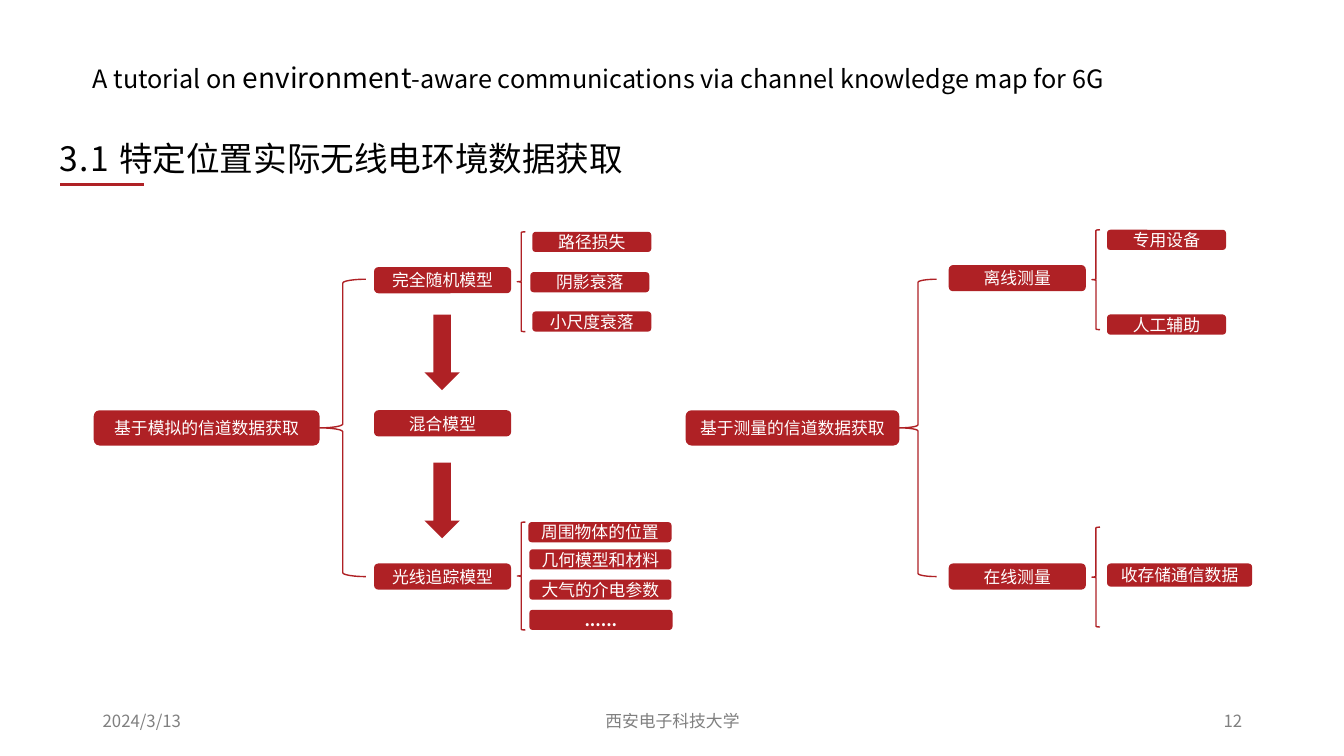
from pptx import Presentation
from pptx import util as u
from pptx.dml import color
from pptx.enum import shapes, text
from pptx.oxml import ns
from lxml import etree

FONT = "Noto Sans CJK SC"
RED, WHITE, BLACK, GREY = "AF2125", "FFFFFF", "000000", "808080"
KIND = shapes.MSO_SHAPE
ALIGN = text.PP_ALIGN
SMALL_HEIGHT = 0.2


def rgb(value):
    """Turn a hex string into a colour."""
    return color.RGBColor.from_string(value)


def add_span(para, words, size, ink, bold=None, spacing=None):
    """Add one formatted run to a paragraph."""
    span = para.add_run()
    span.text = words
    span.font.size = u.Pt(size)
    span.font.name = FONT
    span.font.bold = bold
    span.font.color.rgb = rgb(ink)
    properties = span.font._element
    etree.SubElement(properties, ns.qn("a:ea")).set("typeface", FONT)
    if spacing:
        properties.set("spc", str(spacing))


def add_text(page, place, align=ALIGN.LEFT, anchor=text.MSO_ANCHOR.MIDDLE):
    """Add a text box and return its first paragraph."""
    box = page.shapes.add_textbox(*map(u.Inches, place))
    box.text_frame.word_wrap = True
    box.text_frame.vertical_anchor = anchor
    para = box.text_frame.paragraphs[0]
    para.alignment = align
    return para


def add_solid(page, kind, *place):
    """Add a red shape without an outline."""
    shape = page.shapes.add_shape(kind, *map(u.Inches, place))
    shape.shadow.inherit = False
    shape.fill.solid()
    shape.fill.fore_color.rgb = rgb(RED)
    shape.line.fill.background()
    return shape


def add_label(page, words, left, top, width, height, bold=None):
    """Add a red rounded box with centred white text."""
    box = add_solid(page, KIND.ROUNDED_RECTANGLE, left, top, width, height)
    frame = box.text_frame
    frame.margin_top = frame.margin_bottom = 0
    frame.margin_left = frame.margin_right = u.Inches(0.05)
    frame.word_wrap = True
    frame.vertical_anchor = text.MSO_ANCHOR.MIDDLE
    para = frame.paragraphs[0]
    para.alignment = ALIGN.CENTER
    add_span(para, words, 12, WHITE, bold)


def add_brace(page, *place):
    """Add a thin red left brace."""
    brace = page.shapes.add_shape(KIND.LEFT_BRACE, *map(u.Inches, place))
    brace.shadow.inherit = False
    brace.fill.background()
    brace.line.color.rgb = rgb(RED)
    brace.line.width = u.Pt(1)


def add_underline(page, left, right, top):
    """Add the red rule below the section heading."""
    ends = map(u.Inches, (left, top, right, top))
    rule = page.shapes.add_connector(shapes.MSO_CONNECTOR.STRAIGHT, *ends)
    rule.line.color.rgb = rgb(RED)
    rule.line.width = u.Pt(1.5)
    etree.SubElement(rule._element.spPr, ns.qn("a:effectLst"))


def add_headings(page):
    """Add the talk title and the section heading."""
    title = add_text(page, (0.82, 0.35, 10.69, 0.87))
    title.line_spacing = 0.9
    add_span(title, "A tutorial on ", 18, BLACK)
    add_span(title, "environment", 20, BLACK)
    add_span(title, "-aware communications via channel knowledge map for 6G", 18, BLACK)
    section = add_text(page, (0.49, 1.2, 5.96, 0.62), ALIGN.JUSTIFY, text.MSO_ANCHOR.TOP)
    section.line_spacing = 1.3
    add_span(section, "3.1 ", 24, BLACK, spacing=100)
    add_span(section, "特定位置实际无线电环境数据获取", 24, BLACK)
    add_underline(page, 0.6, 1.43, 1.83)


def add_footer(page):
    """Add the date, the university and the page number."""
    for words, left, width, align in (
        ("2024/3/13", 0.92, 3, ALIGN.LEFT),
        ("西安电子科技大学", 4.42, 4.5, ALIGN.CENTER),
        ("12", 9.42, 3, ALIGN.RIGHT),
    ):
        add_span(add_text(page, (left, 6.95, width, 0.4), align), words, 12, GREY)


def add_tree(page, root, left, width, brace_width, branch_left, branches):
    """Add a root box, its brace and its branch boxes."""
    add_label(page, root, left, 4.07, width, 0.35)
    add_brace(page, left + width, 2.77, brace_width, 2.95)
    for words, top in branches:
        add_label(page, words, branch_left, top, 1.36, 0.26)


def add_leaves(page, brace_left, brace_top, brace_height, leaves):
    """Add a small brace with its leaf boxes."""
    add_brace(page, brace_left, brace_top, 0.08, brace_height)
    for words, left, top, width, height in leaves:
        add_label(page, words, left, top, width, height, True if words == "......" else None)


def main():
    """Build the slide."""
    deck = Presentation()
    deck.slide_width, deck.slide_height = u.Inches(13.33), u.Inches(7.5)
    page = deck.slides.add_slide(deck.slide_layouts[6])
    add_footer(page)
    add_headings(page)

    add_tree(page, "基于模拟的信道数据获取", 0.93, 2.24, 0.46, 3.71,
             (("完全随机模型", 2.65), ("混合模型", 4.07), ("光线追踪模型", 5.59)))
    add_tree(page, "基于测量的信道数据获取", 6.8, 2.12, 0.37, 9.41,
             (("离线测量", 2.63), ("在线测量", 5.59)))

    add_leaves(page, 5.13, 2.3, 0.99, (
        ("路径损失", 5.28, 2.3, 1.18, SMALL_HEIGHT),
        ("阴影衰落", 5.26, 2.7, 1.18, SMALL_HEIGHT),
        ("小尺度衰落", 5.28, 3.09, 1.18, SMALL_HEIGHT),
    ))
    add_leaves(page, 5.13, 5.18, 1.07, (
        ("周围物体的位置", 5.24, 5.18, 1.42, SMALL_HEIGHT),
        ("几何模型和材料", 5.25, 5.45, 1.41, SMALL_HEIGHT),
        ("大气的介电参数", 5.25, 5.75, 1.41, SMALL_HEIGHT),
        ("......", 5.25, 6.05, 1.42, SMALL_HEIGHT),
    ))
    add_leaves(page, 10.83, 2.28, 0.99, (
        ("专用设备", 10.98, 2.28, 1.18, SMALL_HEIGHT),
        ("人工辅助", 10.98, 3.12, 1.18, SMALL_HEIGHT),
    ))
    add_leaves(page, 10.83, 5.23, 0.99, (
        ("收存储通信数据", 10.98, 5.59, 1.44, 0.23),
    ))

    for top in (3.12, 4.59):
        add_solid(page, KIND.DOWN_ARROW, 4.21, top, 0.35, 0.75)
    deck.save("out.pptx")


if __name__ == "__main__":
    main()
